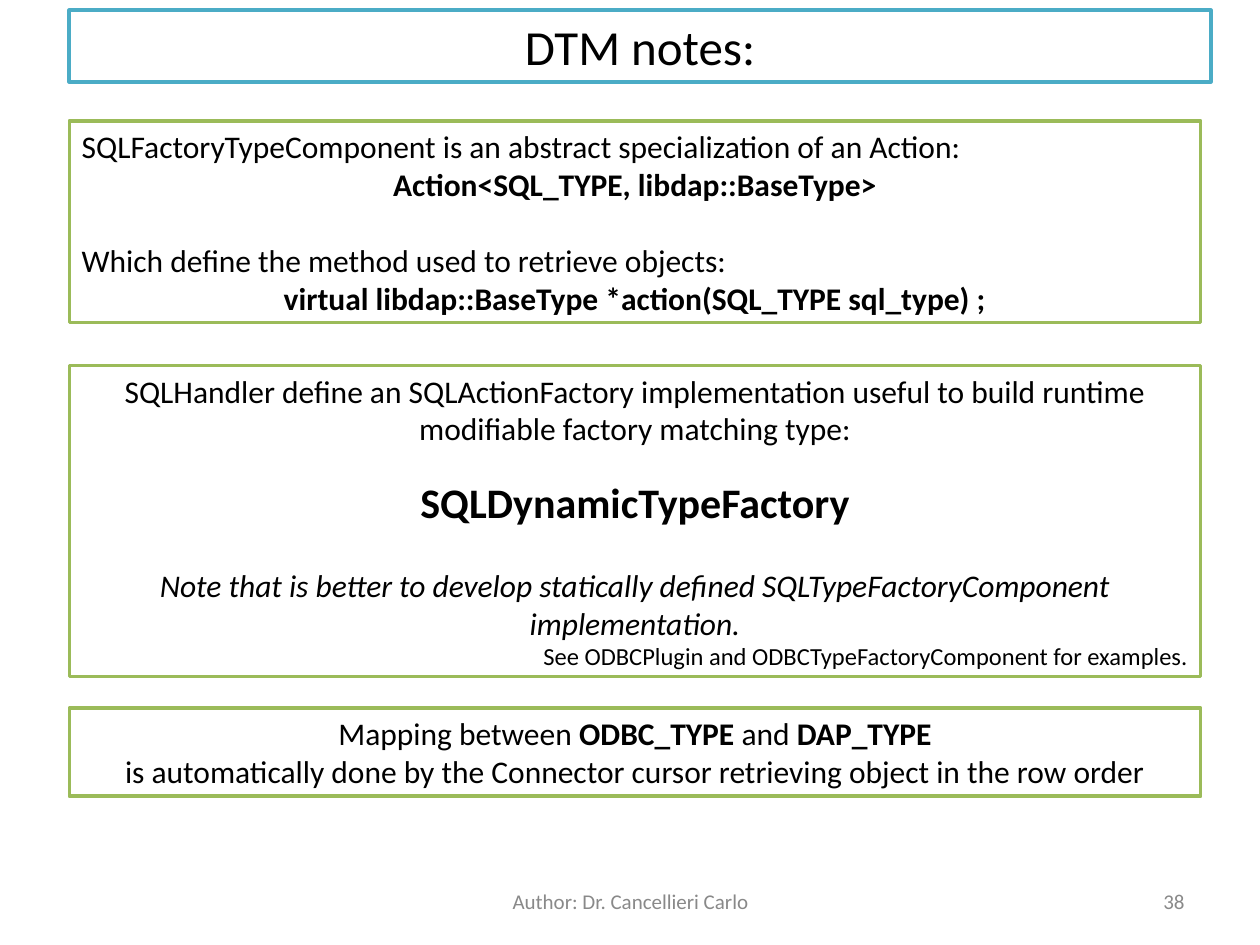
from pptx import Presentation
from pptx.dml.color import RGBColor
from pptx.enum.shapes import MSO_SHAPE
from pptx.enum.text import MSO_ANCHOR, PP_ALIGN as AL
from pptx.util import Inches, Pt

FONT = "Calibri"
COLORS = {"text": "000000", "footer": "898989", "box": "FFFFFF",
          "title": "4BACC6", "note": "9BBB59"}


def para(*texts, align=AL.CENTER, size=18, bold=False, italic=False, before=0):
    """Describe a paragraph; a text given as a one-item list is bold."""
    return dict(texts=texts, align=align, size=size, bold=bold,
                italic=italic, before=before)


# Content: (left, top, width, height), border colour, paragraphs
LEFT, NOTE_W = 0.55, 8.98
BOXES = [
    ((LEFT, 0.08, 9.06, 0.57), "title", [para("DTM notes:", size=28)]),
    ((LEFT, 0.96, NOTE_W, 1.6), "note", [
        para("SQLFactoryTypeComponent is an abstract specialization of an Action:",
             align=AL.JUSTIFY),
        para("Action<SQL_TYPE, libdap::BaseType>", bold=True),
        para("Which define the method used to retrieve objects:",
             align=AL.JUSTIFY, before=22),
        para("virtual libdap::BaseType *action(SQL_TYPE sql_type) ;", bold=True),
    ]),
    ((LEFT, 2.9, NOTE_W, 2.47), "note", [
        para("SQLHandler define an SQLActionFactory implementation useful to "
             "build runtime modifiable factory matching type:"),
        para("SQLDynamicTypeFactory", size=24, bold=True, before=17),
        para("Note that is better to develop statically defined "
             "SQLTypeFactoryComponent implementation.", italic=True, before=22),
        para("See ODBCPlugin and ODBCTypeFactoryComponent for examples.",
             align=AL.RIGHT, size=14),
    ]),
    ((LEFT, 5.62, NOTE_W, 0.7), "note", [
        para("Mapping between ", ["ODBC_TYPE"], " and ", ["DAP_TYPE"]),
        para("is automatically done by the Connector cursor retrieving object "
             "in the row order"),
    ]),
]
FOOTERS = [
    ((3.42, 6.95, 3.17, 0.4), [para("Author: Dr. Cancellieri Carlo", size=12)]),
    ((7.17, 6.95, 2.33, 0.4), [para("38", size=12, align=AL.RIGHT)]),
]


def rgb(name):
    return RGBColor.from_string(COLORS[name])


def write(tf, paras, color, anchor):
    tf.word_wrap = True
    tf.vertical_anchor = anchor
    for i, item in enumerate(paras):
        p = tf.add_paragraph() if i else tf.paragraphs[0]
        p.alignment = item["align"]
        if item["before"]:
            p.space_before = Pt(item["before"])
        font = p.font
        font.name, font.size = FONT, Pt(item["size"])
        font.bold, font.italic = item["bold"], item["italic"]
        font.color.rgb = rgb(color)
        for text in item["texts"]:
            r = p.add_run()
            if isinstance(text, list):
                r.text = text[0]
                r.font.bold = True
            else:
                r.text = text


prs = Presentation()
prs.slide_width, prs.slide_height = Inches(10), Inches(7.5)
s = prs.slides.add_slide(prs.slide_layouts[6])

# Title and note boxes
for place, border, paras in BOXES:
    sp = s.shapes.add_shape(MSO_SHAPE.RECTANGLE, *map(Inches, place))
    sp.shadow.inherit = False
    sp.fill.solid()
    sp.fill.fore_color.rgb = rgb("box")
    sp.line.color.rgb = rgb(border)
    sp.line.width = Pt(2)
    write(sp.text_frame, paras, "text", MSO_ANCHOR.TOP)

# Author and page number
for place, paras in FOOTERS:
    sp = s.shapes.add_textbox(*map(Inches, place))
    write(sp.text_frame, paras, "footer", MSO_ANCHOR.MIDDLE)

prs.save("out.pptx")
